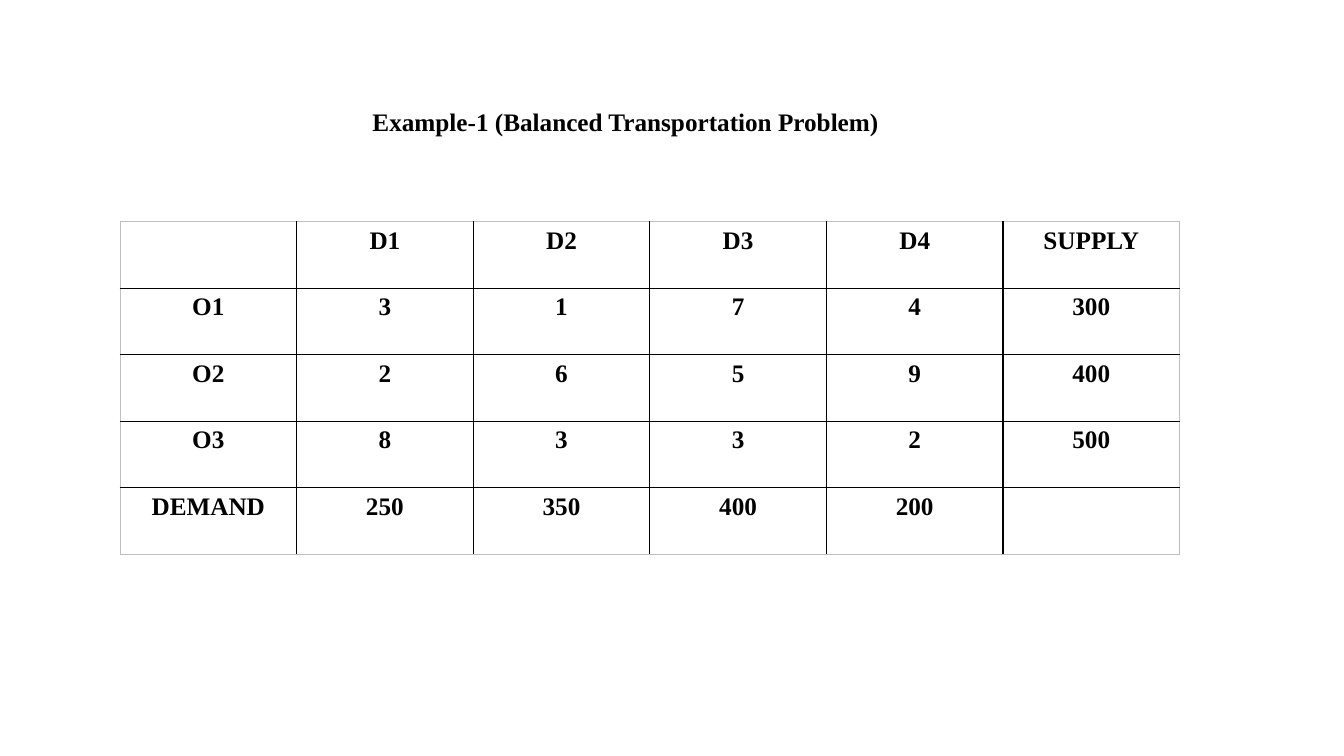
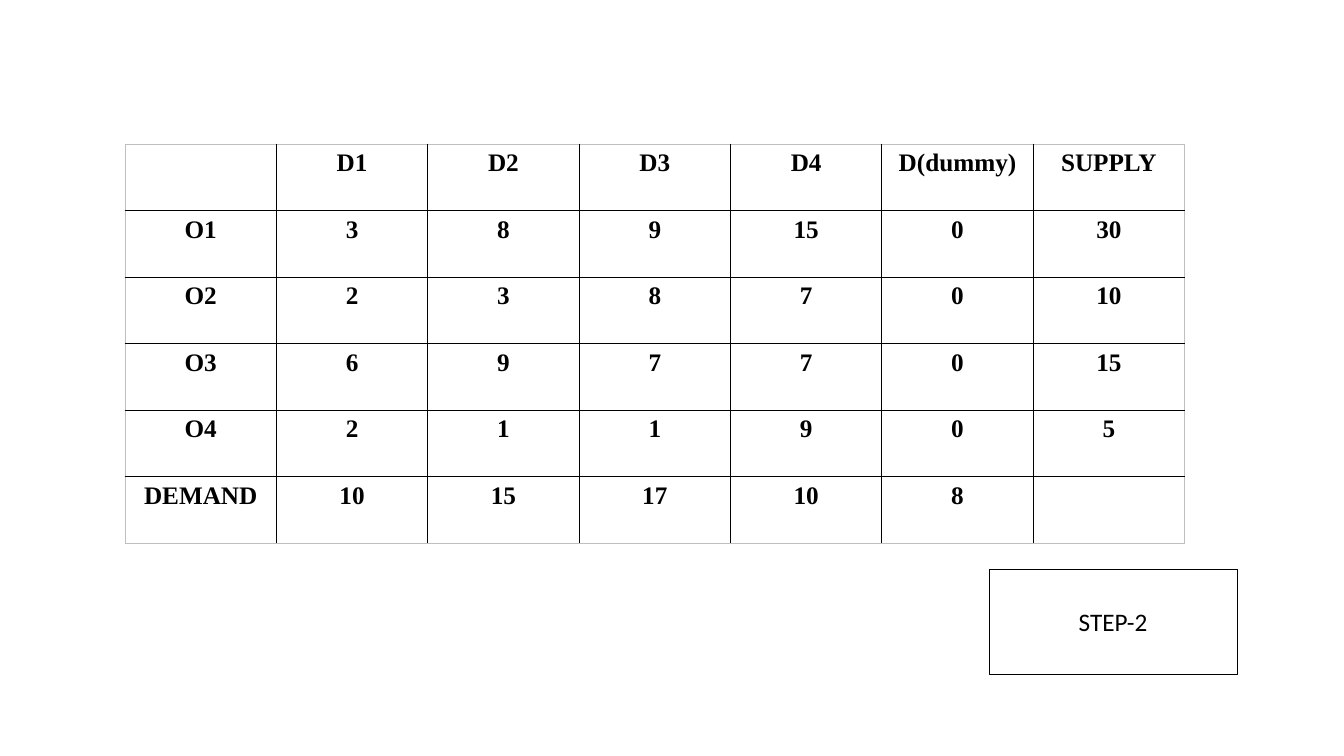
from lxml import etree
from pptx import Presentation
from pptx import util as u
from pptx.dml.color import RGBColor
from pptx.enum import shapes, text
from pptx.oxml.ns import qn

PX = 9144
BLACK = RGBColor(0, 0, 0)
GREY = RGBColor(0xBF, 0xBF, 0xBF)
SERIF = "Times New Roman"
SANS = "Calibri"
ROW = 66

COSTS = [
    ["", "D1", "D2", "D3", "D4", "SUPPLY"],
    ["O1", "3", "1", "7", "4", "300"],
    ["O2", "2", "6", "5", "9", "400"],
    ["O3", "8", "3", "3", "2", "500"],
    ["DEMAND", "250", "350", "400", "200", ""],
]
DUMMY = [
    ["", "D1", "D2", "D3", "D4", "D(dummy)", "SUPPLY"],
    ["O1", "3", "8", "9", "15", "0", "30"],
    ["O2", "2", "3", "8", "7", "0", "10"],
    ["O3", "6", "9", "7", "7", "0", "15"],
    ["O4", "2", "1", "1", "9", "0", "5"],
    ["DEMAND", "10", "15", "17", "10", "8", ""],
]


def emu(*sizes):
    return [u.Emu(size * PX) for size in sizes]


def write(frame, words, font=SERIF, bold=True):
    para = frame.paragraphs[0]
    para.alignment = text.PP_ALIGN.CENTER
    if words:
        run = para.add_run()
        run.text = words
        run.font.name = font
        run.font.size = u.Pt(18)
        run.font.bold = bold
        run.font.color.rgb = BLACK


def border(cell, side, color, width):
    line = etree.Element(qn("a:" + side), w=str(u.Pt(width)))
    fill = etree.SubElement(line, qn("a:solidFill"))
    etree.SubElement(fill, qn("a:srgbClr"), val=str(color))
    return line


def edge(cell, outer):
    props = cell._tc.get_or_add_tcPr()
    for spot, (side, out) in enumerate(zip(("lnL", "lnR", "lnT", "lnB"), outer)):
        color, width = (GREY, 0.75) if out else (BLACK, 1)
        props.insert(spot, border(cell, side, color, width))


def grid(slide, left, top, width, data):
    rows, cols = len(data), len(data[0])
    table = slide.shapes.add_table(
        rows, cols, *emu(left, top, width, rows * ROW)).table
    table.first_row = False
    table.horz_banding = False
    for col in table.columns:
        col.width = u.Emu(width * PX // cols)
    for r, line in enumerate(data):
        for c, words in enumerate(line):
            cell = table.cell(r, c)
            cell.fill.background()
            cell.margin_left = cell.margin_right = u.Emu(11 * PX)
            cell.margin_top = cell.margin_bottom = u.Emu(5 * PX)
            write(cell.text_frame, words)
            edge(cell, (c == 0, c == cols - 1, r == 0, r == rows - 1))


def title(slide, box, words):
    frame = slide.shapes.add_textbox(*emu(*box)).text_frame
    frame.word_wrap = True
    frame.vertical_anchor = text.MSO_ANCHOR.MIDDLE
    write(frame, words)


def step(slide, box, words):
    rect = slide.shapes.add_shape(shapes.MSO_SHAPE.RECTANGLE, *emu(*box))
    rect.shadow.inherit = False
    rect.fill.background()
    rect.line.color.rgb = BLACK
    rect.line.width = u.Pt(0.75)
    rect.text_frame.vertical_anchor = text.MSO_ANCHOR.MIDDLE
    write(rect.text_frame, words, SANS, False)


def main():
    deck = Presentation()
    deck.slide_width, deck.slide_height = u.Inches(13.33), u.Inches(7.5)
    blank = deck.slide_layouts[6]

    first = deck.slides.add_slide(blank)
    grid(first, 119, 220, 1051, COSTS)
    title(first, (212, 89, 817, 62), "Example-1 (Balanced Transportation Problem)")

    second = deck.slides.add_slide(blank)
    grid(second, 124, 143, 1051, DUMMY)
    step(second, (981, 565, 246, 104), "STEP-2")

    deck.save("out.pptx")


if __name__ == "__main__":
    main()
